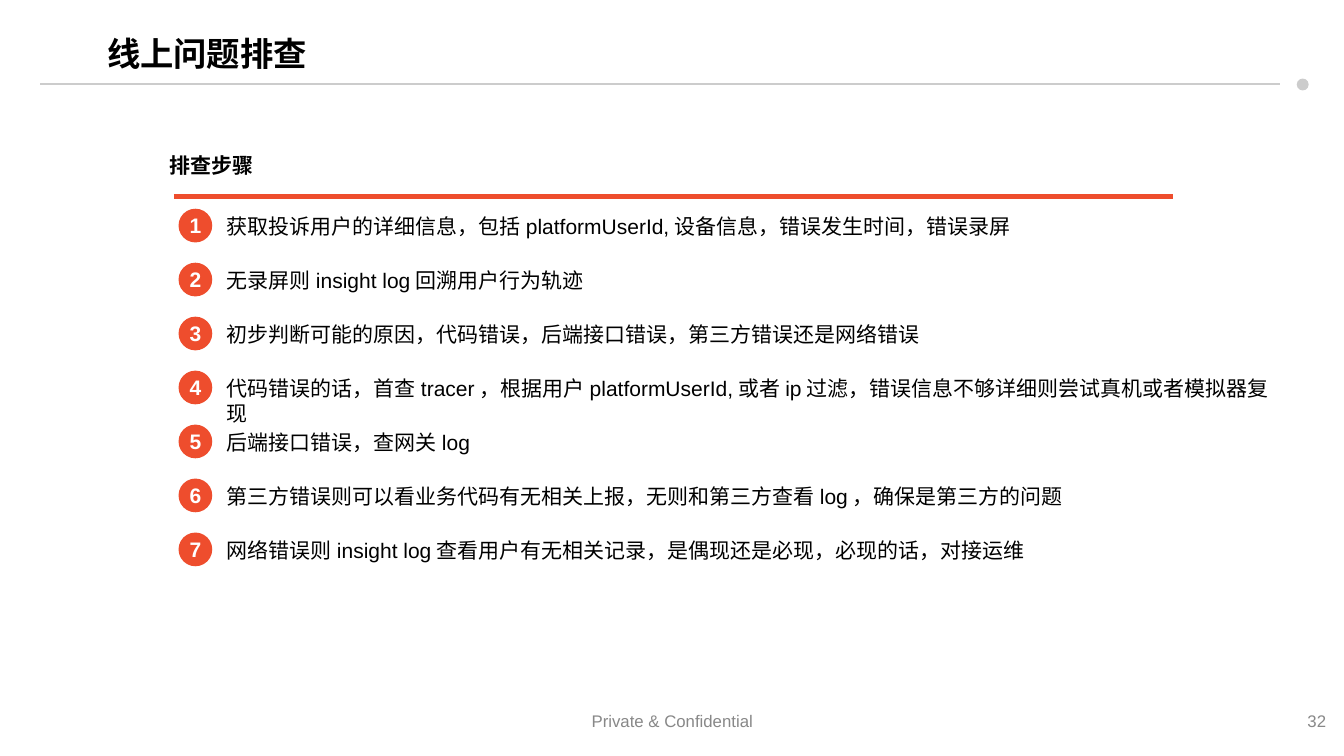
from dataclasses import dataclass

from lxml import etree
from pptx import Presentation
from pptx.dml.color import RGBColor
from pptx.enum.shapes import MSO_CONNECTOR, MSO_SHAPE
from pptx.enum.text import MSO_ANCHOR, PP_ALIGN
from pptx.oxml.ns import qn
from pptx.util import Cm, Pt

LEFT, MID, RIGHT = PP_ALIGN.LEFT, PP_ALIGN.CENTER, PP_ALIGN.RIGHT
TOP, CENTER = MSO_ANCHOR.TOP, MSO_ANCHOR.MIDDLE
OVAL = MSO_SHAPE.OVAL
STRAIGHT = MSO_CONNECTOR.STRAIGHT


@dataclass(frozen=True)
class Theme:
    ink: str = "000000"
    white: str = "FFFFFF"
    accent: str = "EE4D2D"
    rule: str = "CCCCCC"
    muted: str = "888888"
    title: float = 23.8
    body: float = 15
    small: float = 12
    latin: str = "Arial"
    asian: str = "Noto Sans CJK SC"


THEME = Theme()

STEPS = [
    "获取投诉用户的详细信息，包括platformUserId,设备信息，错误发生时间，错误录屏",
    "无录屏则insight log回溯用户行为轨迹",
    "初步判断可能的原因，代码错误，后端接口错误，第三方错误还是网络错误",
    "代码错误的话，首查tracer，根据用户platformUserId,或者ip过滤，错误信息不够详细则尝试真机或者模拟器复现",
    "后端接口错误，查网关log",
    "第三方错误则可以看业务代码有无相关上报，无则和第三方查看log，确保是第三方的问题",
    "网络错误则insight log查看用户有无相关记录，是偶现还是必现，必现的话，对接运维",
]
FIRST = 5.26
PITCH = 1.36


def write(shape, text, size=THEME.body, color=THEME.ink, bold=False,
          align=LEFT, anchor=TOP, inset=0.13, space=1):
    """Fill a shape with one paragraph in the theme's two fonts."""
    frame = shape.text_frame
    frame.word_wrap = True
    frame.vertical_anchor = anchor
    frame.margin_left = frame.margin_right = Cm(inset)
    frame.margin_top = frame.margin_bottom = Cm(inset)
    para = frame.paragraphs[0]
    para.alignment = align
    para.line_spacing = space
    run = para.add_run()
    run.text = text
    font = run.font
    font.size = Pt(size)
    font.bold = bold
    font.color.rgb = RGBColor.from_string(color)
    font.name = THEME.latin
    asian = etree.SubElement(run._r.get_or_add_rPr(), qn("a:ea"))
    asian.set("typeface", THEME.asian)


def label(slide, text, left, top, width, height, **style):
    box = slide.shapes.add_textbox(Cm(left), Cm(top), Cm(width), Cm(height))
    write(box, text, **style)


def rule(slide, left, right, y, color, weight):
    line = slide.shapes.add_connector(STRAIGHT, Cm(left), Cm(y), Cm(right), Cm(y))
    line.line.color.rgb = RGBColor.from_string(color)
    line.line.width = Pt(weight)
    etree.SubElement(line._element.spPr, qn("a:effectLst"))


def disc(slide, left, top, size, color):
    dot = slide.shapes.add_shape(OVAL, Cm(left), Cm(top), Cm(size), Cm(size))
    dot.shadow.inherit = False
    dot.fill.solid()
    dot.fill.fore_color.rgb = RGBColor.from_string(color)
    dot.line.fill.background()
    return dot


def step(slide, index, text):
    """Draw a numbered disc and its instruction."""
    top = FIRST + index * PITCH
    badge = disc(slide, 4.5, top, 0.85, THEME.accent)
    write(badge, str(index + 1), color=THEME.white, bold=True,
          align=MID, anchor=CENTER, inset=0)
    label(slide, text, 5.59, top, 26.67, 0.99)


def frame(slide):
    """Draw the title rule and the footer."""
    disc(slide, 32.68, 1.98, 0.3, THEME.rule)
    rule(slide, 1.02, 32.26, 2.12, THEME.rule, 1.44)
    foot = dict(size=THEME.small, color=THEME.muted, anchor=CENTER)
    label(slide, "Private & Confidential", 11.23, 17.8, 11.43, 0.74, align=MID, **foot)
    label(slide, "32", 32.56, 17.8, 0.99, 0.74, align=RIGHT, **foot)


def main():
    deck = Presentation()
    deck.slide_width, deck.slide_height = Cm(33.87), Cm(19.05)
    slide = deck.slides.add_slide(deck.slide_layouts[6])
    frame(slide)
    label(slide, "线上问题排查", 2.57, 0.71, 29.69, 1.4, size=THEME.title,
          bold=True, anchor=CENTER, space=0.9)
    label(slide, "排查步骤", 4.14, 3.71, 5.87, 0.99, bold=True)
    rule(slide, 4.38, 29.57, 4.95, THEME.accent, 3)
    for index, text in enumerate(STEPS):
        step(slide, index, text)
    deck.save("out.pptx")


if __name__ == "__main__":
    main()
